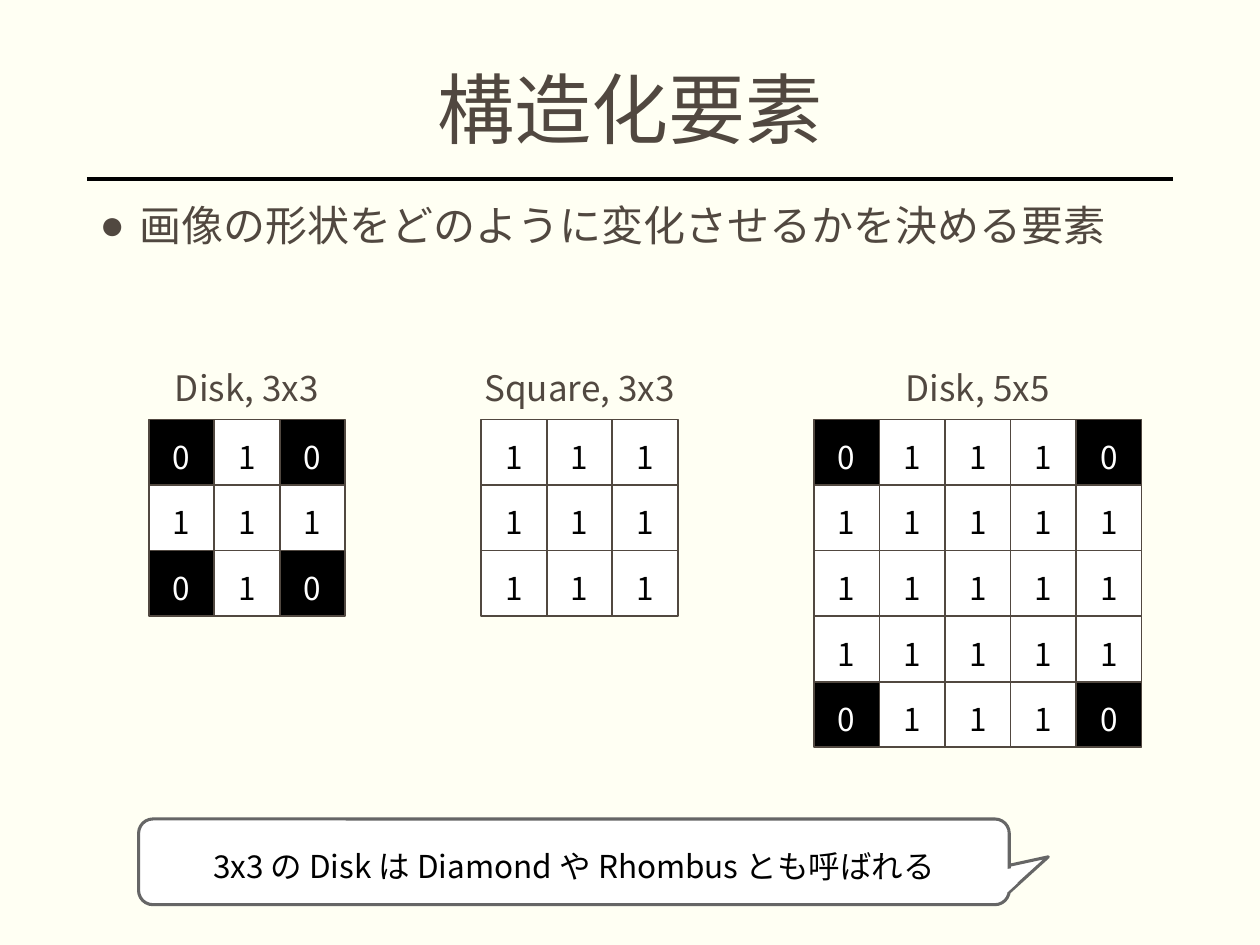
from dataclasses import dataclass
from lxml.etree import SubElement
from pptx import Presentation
from pptx.dml.color import RGBColor
from pptx.enum.shapes import MSO_CONNECTOR, MSO_SHAPE
from pptx.enum.text import MSO_ANCHOR, MSO_AUTO_SIZE, PP_ALIGN
from pptx.oxml.ns import qn
from pptx.util import Inches, Pt

FONT = "Noto Sans CJK JP"
BROWN, BLACK, WHITE, GREY, CREAM = "514840", "000000", "FFFFFF", "666666", "FFFFF3"
WIDTH, HEIGHT = 10, 7.5
MARGIN = 0.069 * WIDTH
CONTENT_WIDTH = WIDTH - 2 * MARGIN
CELL = 0.52
GRID_LEFT, GRID_TOP, GRID_STEP = 1.18, 3.33, 2.64
LABEL_HEIGHT, LABEL_GAP = 0.44, 0.03


@dataclass
class Element:
    label: str
    size: int
    label_width: float
    corner: int

    def value(self, row: int, column: int) -> int:
        edges = (0, self.size - 1)
        return self.corner if row in edges and column in edges else 1


@dataclass
class Patch:
    """A white piece that opens the callout's border towards its tail."""
    left: float
    top: float
    width: float
    height: float
    rotation: float


ELEMENTS = [
    Element("Disk, 3x3", 3, 1.47, 0),
    Element("Square, 3x3", 3, 1.86, 1),
    Element("Disk, 5x5", 5, 1.47, 0),
]
PATCHES = [Patch(7.94, 6.86, 0.09, 0.17, 78), Patch(7.97, 6.96, 0.08, 0.11, 47.5)]
TAIL = [(8, 6.87), (8.32, 6.8), (8, 7.09)]


def color(value: str) -> RGBColor:
    return RGBColor.from_string(value)


def place(shape, left: float, top: float, width: float, height: float) -> None:
    box = {"left": left, "top": top, "width": width, "height": height}
    for name, value in box.items():
        setattr(shape, name, Inches(value))


def write(shape, text: str, size: float, ink: str, frame_format: dict,
          para_format: dict) -> None:
    frame = shape.text_frame
    for name, value in frame_format.items():
        setattr(frame, name, value)
    para = frame.paragraphs[0]
    for name, value in para_format.items():
        setattr(para, name, value)
    span = para.add_run()
    span.text = text
    for name, value in {"name": FONT, "size": Pt(size)}.items():
        setattr(span.font, name, value)
    span.font.color.rgb = color(ink)
    SubElement(span.font._element, qn("a:ea"), typeface=FONT)


def paint(shape, fill: str, line: str | None = None, weight: float = 1) -> None:
    shape.shadow.inherit = False
    shape.fill.solid()
    shape.fill.fore_color.rgb = color(fill)
    if line is None:
        shape.line.fill.background()
    else:
        shape.line.color.rgb = color(line)
        shape.line.width = Pt(weight)


def add_box(page, kind, left: float, top: float, width: float, height: float):
    return page.shapes.add_shape(kind, *map(Inches, (left, top, width, height)))


SHAPE_FRAME = {
    "vertical_anchor": MSO_ANCHOR.MIDDLE, "margin_left": Inches(0.1),
    "margin_right": Inches(0.1), "margin_top": Inches(0.12),
    "margin_bottom": Inches(0.05),
}
CENTRED = {"alignment": PP_ALIGN.CENTER}


def add_element(page, element: Element, left: float) -> None:
    for row in range(element.size):
        for column in range(element.size):
            value = element.value(row, column)
            fill, ink = (WHITE, BLACK) if value else (BLACK, WHITE)
            cell = add_box(page, MSO_SHAPE.RECTANGLE, left + column * CELL,
                           GRID_TOP + row * CELL, CELL, CELL)
            paint(cell, fill, BROWN)
            write(cell, str(value), 18, ink, SHAPE_FRAME, CENTRED)
    label_left = left + (element.size * CELL - element.label_width) / 2
    label_top = GRID_TOP - LABEL_GAP - LABEL_HEIGHT
    label = page.shapes.add_textbox(
        *map(Inches, (label_left, label_top, element.label_width, LABEL_HEIGHT)))
    write(label, element.label, 20, BROWN,
          {"word_wrap": False, "auto_size": MSO_AUTO_SIZE.SHAPE_TO_FIT_TEXT}, CENTRED)


def add_heading(page) -> None:
    title, body = page.placeholders[0], page.placeholders[1]
    place(title, MARGIN, 0.47, CONTENT_WIDTH, 0.86)
    write(title, "構造化要素", 44, BROWN,
          {"vertical_anchor": MSO_ANCHOR.MIDDLE, "auto_size": MSO_AUTO_SIZE.NONE},
          {"alignment": PP_ALIGN.CENTER, "line_spacing": 0.9})

    place(body, MARGIN, 1.58, CONTENT_WIDTH, 0.75)
    properties = body.text_frame.paragraphs[0]._p.get_or_add_pPr()
    indent = Inches(0.32)
    properties.set("marL", str(indent))
    properties.set("indent", str(-indent))
    SubElement(properties, qn("a:buFont"), typeface="Arial")
    SubElement(properties, qn("a:buChar"), char="●")
    write(body, "画像の形状をどのように変化させるかを決める要素", 24, BROWN,
          {"vertical_anchor": MSO_ANCHOR.TOP, "auto_size": MSO_AUTO_SIZE.NONE},
          {"line_spacing": 0.9, "space_before": Pt(0)})

    rule = page.shapes.add_connector(
        MSO_CONNECTOR.STRAIGHT,
        *map(Inches, (MARGIN, 1.42, WIDTH - MARGIN, 1.42)))
    rule.line.color.rgb = color(BLACK)
    rule.line.width = Pt(2)
    SubElement(rule._element.spPr, qn("a:effectLst"))


def add_callout(page) -> None:
    start, *others = [(Inches(x), Inches(y)) for x, y in TAIL]
    builder = page.shapes.build_freeform(*start)
    builder.add_line_segments(others, close=True)
    paint(builder.convert_to_shape(), WHITE, GREY, 1.75)

    callout = add_box(page, MSO_SHAPE.ROUNDED_RECTANGLE, 1.1, 6.5, 6.91, 0.68)
    paint(callout, WHITE, GREY, 1.75)
    write(callout, "3x3 の Disk は Diamond や Rhombus とも呼ばれる", 18, BLACK,
          SHAPE_FRAME | {"word_wrap": False}, CENTRED)

    for patch in PATCHES:
        cover = add_box(page, MSO_SHAPE.RECTANGLE, patch.left, patch.top,
                        patch.width, patch.height)
        cover.rotation = patch.rotation
        paint(cover, WHITE)


def main() -> None:
    deck = Presentation()
    deck.slide_width, deck.slide_height = Inches(WIDTH), Inches(HEIGHT)
    page = deck.slides.add_slide(deck.slide_layouts[1])
    page.background.fill.solid()
    page.background.fill.fore_color.rgb = color(CREAM)
    add_heading(page)
    for index, element in enumerate(ELEMENTS):
        add_element(page, element, GRID_LEFT + index * GRID_STEP)
    add_callout(page)
    deck.save("out.pptx")


if __name__ == "__main__":
    main()
